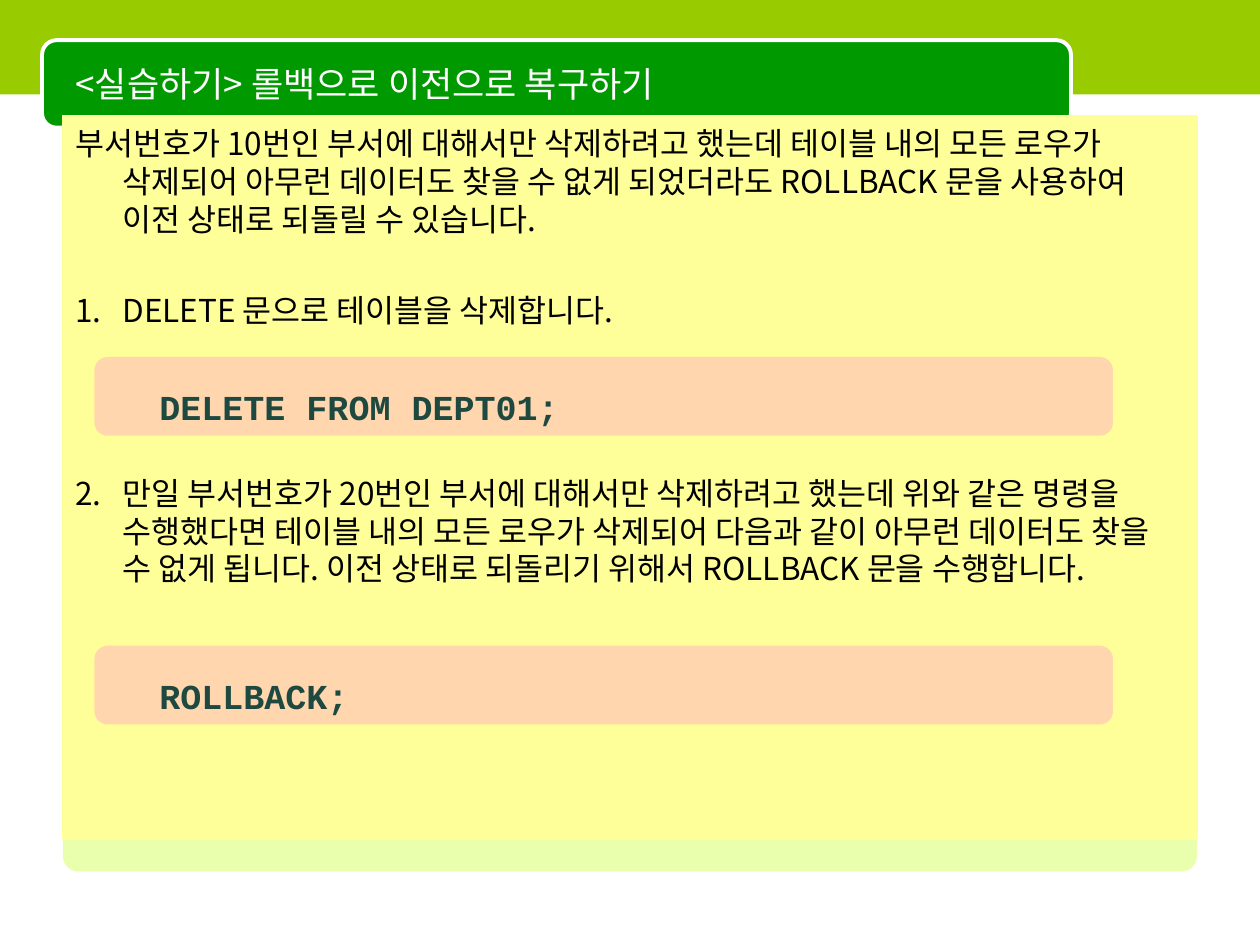
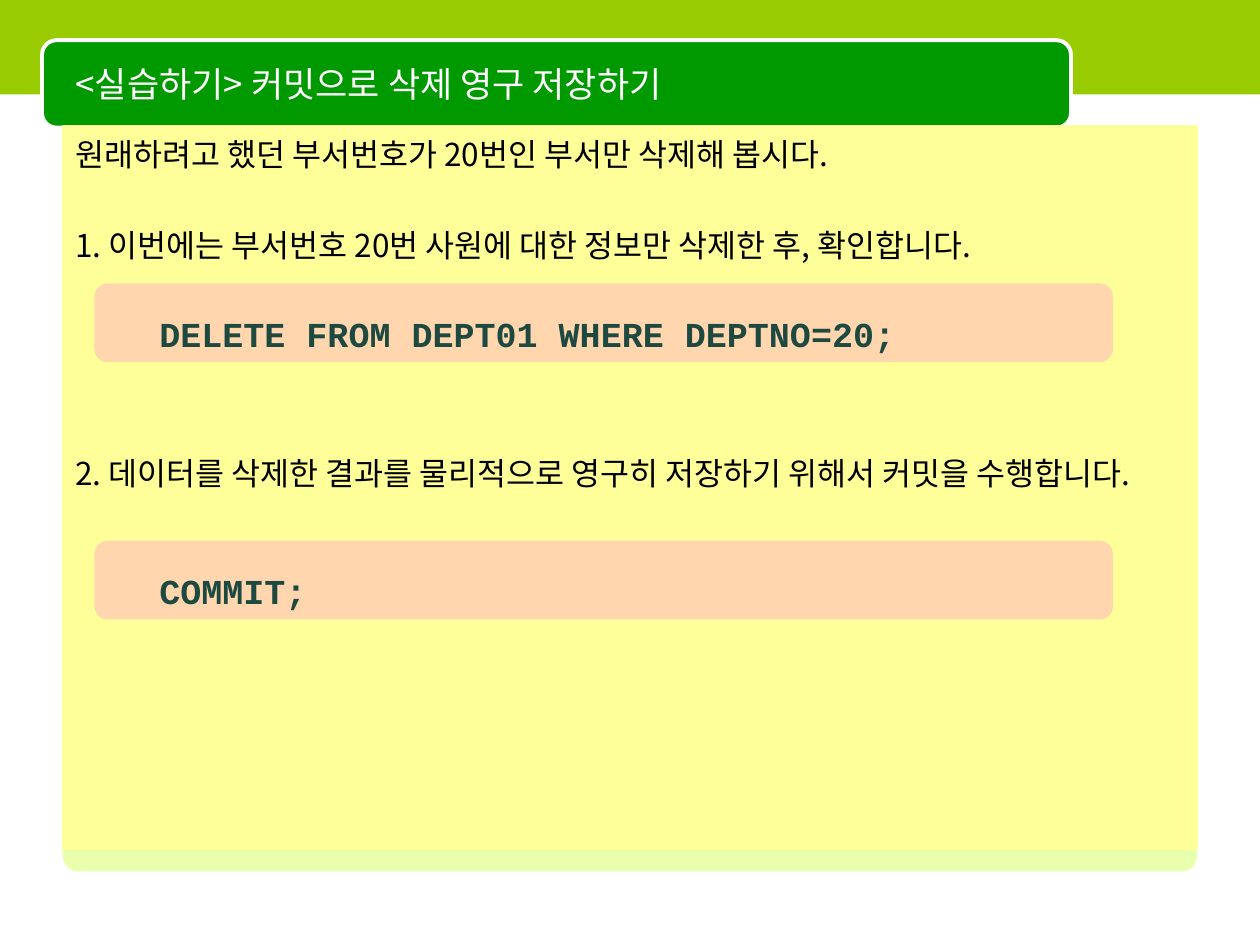
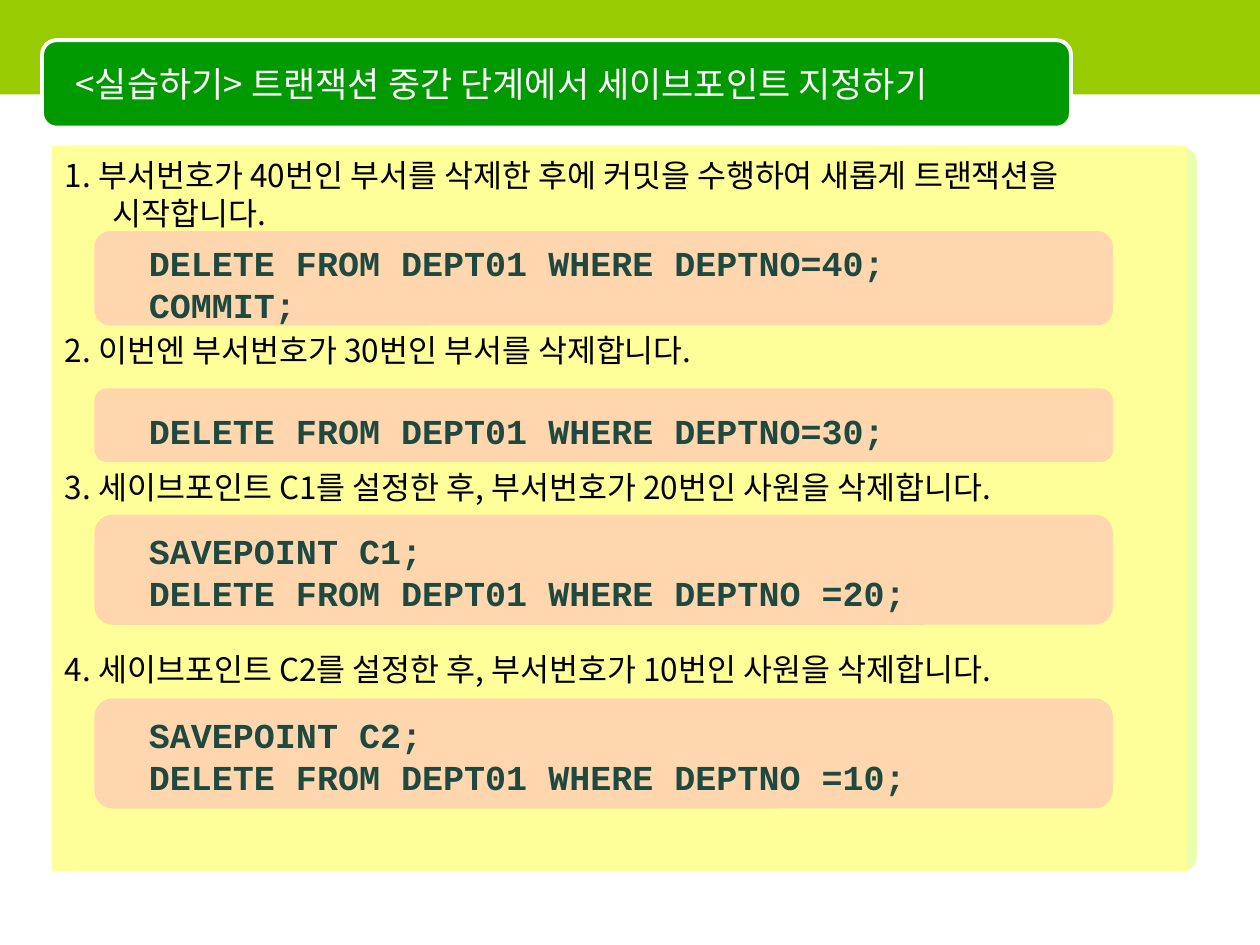
import pptx
import pptx.util
import pptx.dml.color
import pptx.enum.shapes
import pptx.enum.text
import pptx.oxml.ns
import lxml.etree

Pt = pptx.util.Pt
qn = pptx.oxml.ns.qn
RECT = pptx.enum.shapes.MSO_SHAPE.RECTANGLE
ROUND = pptx.enum.shapes.MSO_SHAPE.ROUNDED_RECTANGLE
MIDDLE = pptx.enum.text.MSO_ANCHOR.MIDDLE
TOP = pptx.enum.text.MSO_ANCHOR.TOP
LEFT = pptx.enum.text.PP_ALIGN.LEFT

KOREAN, CODE = "Noto Sans CJK KR", "Courier New"
LIME, GREEN, PALE, WHITE = "99CC00", "009900", "CCFF33", "FFFFFF"
YELLOW, PINK, TEAL, BLACK = "FFFF99", "FF99CC", "1D4940", "000000"
LINE, GAP, HANG = 21.6, 4.5, 27


def add_box(s, kind, box, fill, alpha=100, line=None, width=0, adj=0.167):
    sp = s.shapes.add_shape(kind, *[Pt(v) for v in box])
    sp.shadow.inherit = False
    sp.fill.solid()
    sp.fill.fore_color.rgb = pptx.dml.color.RGBColor.from_string(fill)
    if alpha < 100:
        clr = sp.fill._xPr.find(".//" + qn("a:srgbClr"))
        lxml.etree.SubElement(clr, qn("a:alpha")).set("val", str(alpha * 1000))
    if line:
        sp.line.color.rgb = pptx.dml.color.RGBColor.from_string(line)
        sp.line.width = Pt(width)
    else:
        sp.line.fill.background()
    if kind == ROUND:
        sp.adjustments[0] = adj
    return sp


def write(sp, lines, font, size, color, top=3.6, anchor=TOP, bold=False):
    tf = sp.text_frame
    tf.word_wrap = True
    tf.vertical_anchor = anchor
    tf.margin_top = Pt(top)
    tf.text = "\n".join(lines)
    for p in tf.paragraphs:
        p.alignment = LEFT
        p.font.size = Pt(size)
        p.font.bold = bold
        p.font.color.rgb = pptx.dml.color.RGBColor.from_string(color)
        p.font.name = font
        lxml.etree.SubElement(p.font._element, qn("a:ea")).set("typeface", font)
    return tf.paragraphs


slides = [
    {
        "title": "롤백으로 이전으로 복구하기",
        "panel": (36, 66),
        "numbered": True,
        "steps": [
            (0, "부서번호가 10번인 부서에 대해서만 삭제하려고 했는데 테이블 내의 모든 로우가 "
                "삭제되어 아무런 데이터도 찾을 수 없게 되었더라도 ROLLBACK 문을 사용하여 "
                "이전 상태로 되돌릴 수 있습니다."),
            (1, "DELETE 문으로 테이블을 삭제합니다."),
            (3, "만일 부서번호가 20번인 부서에 대해서만 삭제하려고 했는데 위와 같은 명령을 "
                "수행했다면 테이블 내의 모든 로우가 삭제되어 다음과 같이 아무런 데이터도 찾을 "
                "수 없게 됩니다. 이전 상태로 되돌리기 위해서 ROLLBACK 문을 수행합니다."),
        ],
        "code_left": 84,
        "codes": [
            (204, 45, 10.5, ["DELETE FROM DEPT01;"]),
            (369, 45, 10.5, ["ROLLBACK;"]),
        ],
    },
    {
        "title": "커밋으로 삭제 영구 저장하기",
        "panel": (36, 72),
        "numbered": False,
        "steps": [
            (0, "원래하려고 했던 부서번호가 20번인 부서만 삭제해 봅시다."),
            (1, "1. 이번에는 부서번호 20번 사원에 대한 정보만 삭제한 후, 확인합니다."),
            (4, "2. 데이터를 삭제한 결과를 물리적으로 영구히 저장하기 위해서 커밋을 수행합니다."),
        ],
        "code_left": 84,
        "codes": [
            (162, 45, 10.5, ["DELETE FROM DEPT01 WHERE DEPTNO=20;"]),
            (309, 45, 10.5, ["COMMIT;"]),
        ],
    },
    {
        "title": "트랜잭션 중간 단계에서 세이브포인트 지정하기",
        "panel": (30, 84),
        "numbered": False,
        "steps": [
            (0, "1. 부서번호가 40번인 부서를 삭제한 후에 커밋을 수행하여 새롭게 트랜잭션을 시작합니다."),
            (2, "2. 이번엔 부서번호가 30번인 부서를 삭제합니다."),
            (2, "3. 세이브포인트 C1를 설정한 후, 부서번호가 20번인 사원을 삭제합니다."),
            (3, "4. 세이브포인트 C2를 설정한 후, 부서번호가 10번인 사원을 삭제합니다."),
        ],
        "code_left": 78,
        "codes": [
            (132, 54, 0, ["DELETE FROM DEPT01 WHERE DEPTNO=40;", "COMMIT;"]),
            (222, 42, 6, ["DELETE FROM DEPT01 WHERE DEPTNO=30;"]),
            (294, 63, 2.5, ["SAVEPOINT C1;", "DELETE FROM DEPT01 WHERE DEPTNO =20;"]),
            (399, 63, 2.5, ["SAVEPOINT C2;", "DELETE FROM DEPT01 WHERE DEPTNO =10;"]),
        ],
    },
]

prs = pptx.Presentation()
prs.slide_width, prs.slide_height = Pt(720), Pt(540)

for page in slides:
    s = prs.slides.add_slide(prs.slide_layouts[6])
    add_box(s, ROUND, (36, 84, 648, 414), PALE, alpha=40, adj=0.021)
    add_box(s, RECT, (0, 0, 720, 54), LIME)
    add_box(s, ROUND, (24, 23, 588, 50), GREEN, line=WHITE, width=2.25)
    title = s.shapes.add_textbox(Pt(36), Pt(25), Pt(570), Pt(45))
    write(title, ["<실습하기> " + page["title"]], KOREAN, 20, WHITE, anchor=MIDDLE)

    panel = add_box(s, RECT, (*page["panel"], 648, 413.5), YELLOW, line=YELLOW, width=0.75)
    steps = page["steps"]
    paragraphs = write(panel, [text for _, text in steps], KOREAN, 18, BLACK, top=5)
    for i, (p, (skip, _)) in enumerate(zip(paragraphs, steps)):
        p.line_spacing = Pt(LINE)
        p.space_before = Pt(GAP + skip * (LINE + GAP) if i else 0)
        pPr = p._p.get_or_add_pPr()
        pPr.set("marL", str(Pt(HANG)))
        pPr.set("indent", str(-Pt(HANG)))
        if page["numbered"] and i:
            bullet = lxml.etree.Element(qn("a:buAutoNum"), type="arabicPeriod")
            pPr.insert_element_before(bullet, "a:tabLst", "a:defRPr", "a:extLst")

    for top, height, drop, lines in page["codes"]:
        add_box(s, ROUND, (54, top, 582, height), PINK, alpha=40)
        code = s.shapes.add_textbox(Pt(page["code_left"]), Pt(top + drop),
                                    Pt(534), Pt(7.5 + 24 * len(lines)))
        for p in write(code, lines, CODE, 20, TEAL, top=6, bold=True):
            p.line_spacing = Pt(24)

prs.save("out.pptx")
